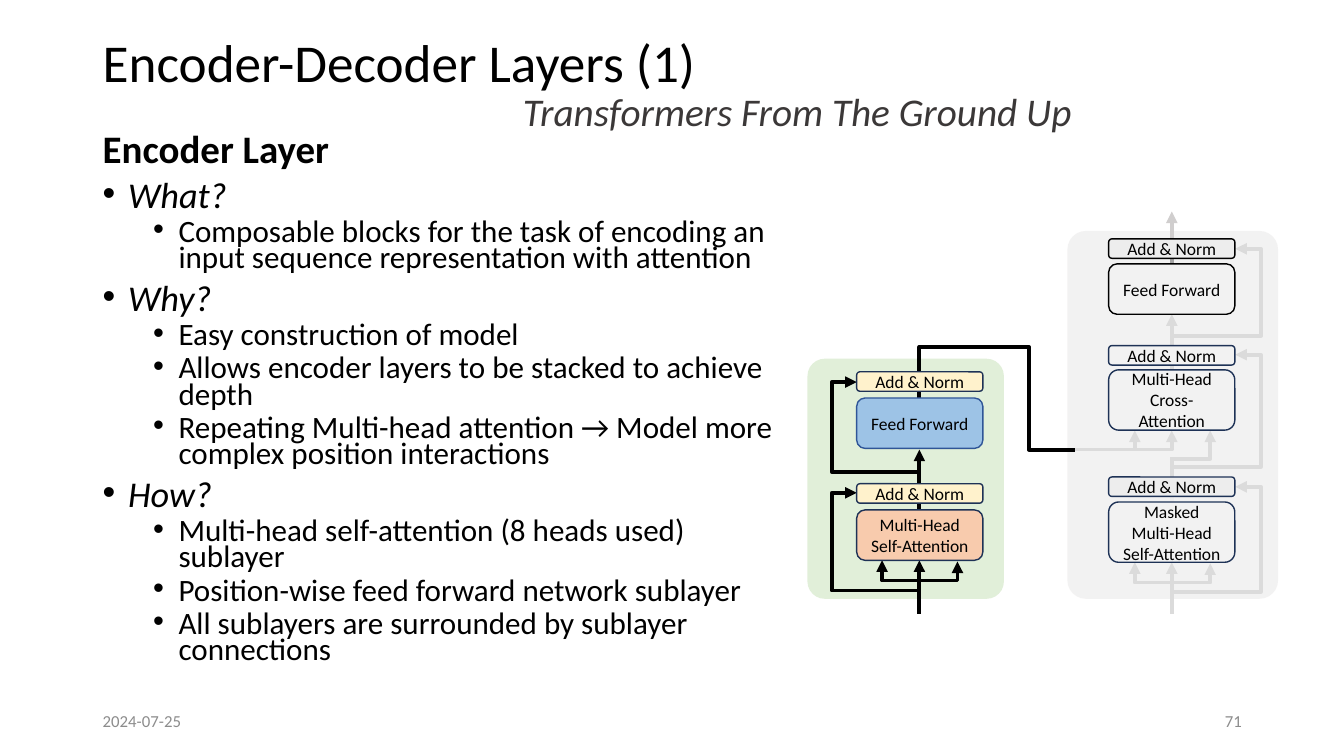
from pptx import Presentation
from pptx.dml.color import RGBColor as RGB
from pptx.enum.shapes import MSO_CONNECTOR as CONN, MSO_SHAPE as SHAPE
from pptx.enum.text import MSO_ANCHOR as ANCHOR, PP_ALIGN as ALIGN
from pptx.oxml.ns import qn
from pptx.util import Cm, Pt
from lxml.etree import SubElement

COLORS = {
    "black": "000000", "muted": "8C8C8C", "subtitle": "3B3838",
    "navy": "1E3256", "blue_edge": "2F5597", "blue": "9DC3E6",
    "yellow": "FFF2CC", "orange": "F8CBAD", "green": "C5E0B4",
    "panel": "E7E6E6", "pale": "F2F2F2", "light": "EDEDED",
    "faded": "DBDBDB", "silver": "D0CECE", "gray": "A5A5A5",
}


class Deck:
    font = "Calibri"
    line_width = 2.75

    def __init__(self, slide):
        self.s = slide

    def color(self, name):
        return RGB.from_string(COLORS[name])

    def run(self, p, text, size, color="black", bold=False, italic=False):
        r = p.add_run()
        r.text = text
        f = r.font
        f.name, f.size, f.bold, f.italic = self.font, Pt(size), bold, italic
        f.color.rgb = self.color(color)

    def frame(self, x, y, w, h, anchor=ANCHOR.MIDDLE):
        tf = self.s.shapes.add_textbox(Cm(x), Cm(y), Cm(w), Cm(h)).text_frame
        tf.word_wrap = True
        tf.vertical_anchor = anchor
        return tf

    def text(self, x, y, w, h, text, size, color="black", align=ALIGN.LEFT,
             spacing=1.0, italic=False):
        p = self.frame(x, y, w, h).paragraphs[0]
        p.alignment = align
        p.line_spacing = spacing
        self.run(p, text, size, color, italic=italic)

    def outline(self, x, y, w, h, heading, topics):
        tf = self.frame(x, y, w, h, ANCHOR.TOP)
        p = tf.paragraphs[0]
        p.line_spacing = 0.7
        self.run(p, heading, 27.8, bold=True)
        for topic, points in topics:
            self.bullet(tf, topic, 0, 25.9, 10, italic=True)
            for point in points:
                self.bullet(tf, point, 1, 22.2, 5)

    def bullet(self, tf, text, level, size, before, italic=False):
        p = tf.add_paragraph()
        p.level = level
        p.line_spacing = 0.7
        p.space_before = Pt(before)
        pPr = p._p.get_or_add_pPr()
        pPr.set("marL", str(Cm(0.64 + 1.27 * level)))
        pPr.set("indent", str(-Cm(0.64)))
        SubElement(pPr, qn("a:buFont"), typeface="Arial")
        SubElement(pPr, qn("a:buChar"), char="•")
        self.run(p, text, size, italic=italic)

    def rounded(self, x, y, w, h, fill):
        sp = self.s.shapes.add_shape(SHAPE.ROUNDED_RECTANGLE, Cm(x), Cm(y), Cm(w), Cm(h))
        sp.shadow.inherit = False
        sp.fill.solid()
        sp.fill.fore_color.rgb = self.color(fill)
        return sp

    def panel(self, x, y, w, h, fill):
        sp = self.rounded(x, y, w, h, fill)
        sp.adjustments[0] = 0.088
        sp.line.fill.background()
        clr = sp.fill._xPr.find(qn("a:solidFill"))[0]
        SubElement(clr, qn("a:alpha"), val="50000")

    def block(self, x, y, h, text, fill, edge):
        sp = self.rounded(x, y, 3.18, h, fill)
        sp.line.color.rgb = self.color(edge)
        sp.line.width = Pt(1)
        tf = sp.text_frame
        tf.word_wrap = True
        tf.vertical_anchor = ANCHOR.MIDDLE
        p = tf.paragraphs[0]
        p.alignment = ALIGN.CENTER
        self.run(p, text, 12.5)

    def connector(self, kind, start, end, color, arrow):
        c = self.s.shapes.add_connector(kind, *map(Cm, start + end))
        c.line.color.rgb = self.color(color)
        c.line.width = Pt(self.line_width)
        if arrow:
            SubElement(c.line._get_or_add_ln(), qn("a:tailEnd"), type="triangle")
        SubElement(c._element.spPr, qn("a:effectLst"))
        return c

    def vertical(self, x, y1, y2, color, arrow=False):
        self.connector(CONN.STRAIGHT, (x, y1), (x, y2), color, arrow)

    def adjust(self, c, preset, values):
        geom = c._element.spPr.find(qn("a:prstGeom"))
        geom.set("prst", preset)
        av = geom.find(qn("a:avLst"))
        if av is None:
            av = SubElement(geom, qn("a:avLst"))
        for i, value in enumerate(values, 1):
            SubElement(av, qn("a:gd"), name=f"adj{i}", fmla=f"val {round(value * 100000)}")

    def fork(self, start, end, color):
        c = self.connector(CONN.ELBOW, start, end, color, True)
        self.adjust(c, "bentConnector3", [1])

    def loop(self, start, end, via_x, via_y, color, arrow=True):
        c = self.connector(CONN.ELBOW, start, end, color, arrow)
        (x1, y1), (x2, y2) = start, end
        dx, dy = x2 - x1, y2 - y1
        c.left, c.top = Cm((x1 + x2 - abs(dy)) / 2), Cm((y1 + y2 - abs(dx)) / 2)
        c.width, c.height = Cm(abs(dy)), Cm(abs(dx))
        xfrm = c._element.spPr.find(qn("a:xfrm"))
        xfrm.set("rot", str((90 if dx > 0 and dy < 0 else 270) * 60000))
        xfrm.set("flipH", str(int(dx > 0)))
        xfrm.set("flipV", str(int(dy < 0)))
        self.adjust(c, "bentConnector4", [(via_y - y1) / dy, (via_x - x1) / dx])


TOPICS = [
    ("What?", ["Composable blocks for the task of encoding an input sequence "
               "representation with attention"]),
    ("Why?", ["Easy construction of model",
              "Allows encoder layers to be stacked to achieve depth",
              "Repeating Multi-head attention → Model more complex position interactions"]),
    ("How?", ["Multi-head self-attention (8 heads used) sublayer",
              "Position-wise feed forward network sublayer",
              "All sublayers are surrounded by sublayer connections"]),
]
ENC_X, DEC_X = 21.59, 27.94
ENC_MID, DEC_MID = 23.17, 29.53
NORM_H = 0.49


def draw_encoder(d):
    d.panel(20.35, 9.04, 4.95, 6.05, "green")
    for y1, y2, via_y in [(14.99, 12.42, 14.88), (11.86, 9.63, 11.89)]:
        d.loop((ENC_MID, y1), (ENC_X, y2), 20.96, via_y, "black")
    for x, y in [(22.23, 14.12), (24.13, 14.15)]:
        d.fork((ENC_MID, 14.63), (x, y), "black")
    for y1, y2, arrow in [(12.85, 12.67, False), (9.86, 10.03, False),
                          (15.47, 14.12, True), (12.19, 11.33, True)]:
        d.vertical(ENC_MID, y1, y2, "black", arrow)


def draw_decoder(d):
    d.panel(26.9, 5.82, 5.31, 9.27, "panel")
    for y1, y2, via_y in [(8.74, 6.27, 8.46), (11.66, 8.94, 11.76), (15.09, 12.27, 14.91)]:
        d.loop((DEC_MID, y1), (31.13, y2), 31.78, via_y, "faded")
    for start, end in [((27.08, 11.33), (28.6, 10.85)), ((28.04, 11.33), (DEC_MID, 10.85)),
                       ((DEC_MID, 11.56), (30.5, 10.85)), ((DEC_MID, 14.68), (28.6, 14.17)),
                       ((DEC_MID, 14.68), (30.5, 14.2))]:
        d.fork(start, end, "faded")
    for y1, y2, color, arrow in [
            (12.52, 12.65, "light", False), (6.02, 5.33, "silver", True),
            (9.19, 9.32, "faded", False), (6.65, 6.53, "gray", False),
            (8.71, 7.92, "faded", True), (12.04, 11.51, "faded", False),
            (15.47, 14.17, "faded", True)]:
        d.vertical(DEC_MID, y1, y2, color, arrow)


def main():
    prs = Presentation()
    prs.slide_width, prs.slide_height = Cm(33.87), Cm(19.05)
    d = Deck(prs.slides.add_slide(prs.slide_layouts[6]))

    d.text(2.34, 0.38, 29.21, 2.51, "Encoder-Decoder Layers (1)", 38, spacing=0.9)
    d.text(2.34, 17.65, 7.62, 1.02, "2024-07-25", 12, "muted")
    d.text(23.93, 17.65, 7.62, 1.02, "71", 12, "muted", ALIGN.RIGHT)
    d.outline(2.34, 3.33, 17.75, 13.67, "Encoder Layer", TOPICS)
    d.text(2.51, 1.98, 24.74, 1.75, "Transformers From The Ground Up", 28, "subtitle",
           ALIGN.RIGHT, 0.9, True)

    draw_decoder(d)
    draw_encoder(d)
    d.loop((ENC_MID, 9.37), (27.08, 11.33), 25.93, 8.74, "black", arrow=False)

    for x, y, h, text, fill, edge in [
            (ENC_X, 10.03, 1.27, "Feed Forward", "blue", "blue_edge"),
            (ENC_X, 12.85, 1.27, "Multi-Head Self-Attention", "orange", "navy"),
            (DEC_X, 6.65, 1.27, "Feed Forward", "pale", "black"),
            (DEC_X, 9.32, 1.52, "Multi-Head Cross-Attention", "pale", "navy"),
            (DEC_X, 12.65, 1.52, "Masked Multi-Head Self-Attention", "pale", "navy")]:
        d.block(x, y, h, text, fill, edge)
    for x, y, fill, edge in [
            (ENC_X, 9.37, "yellow", "navy"), (ENC_X, 12.19, "yellow", "navy"),
            (DEC_X, 6.02, "light", "black"), (DEC_X, 8.71, "pale", "navy"),
            (DEC_X, 12.02, "light", "navy")]:
        d.block(x, y, NORM_H, "Add & Norm", fill, edge)

    prs.save("out.pptx")


if __name__ == "__main__":
    main()
